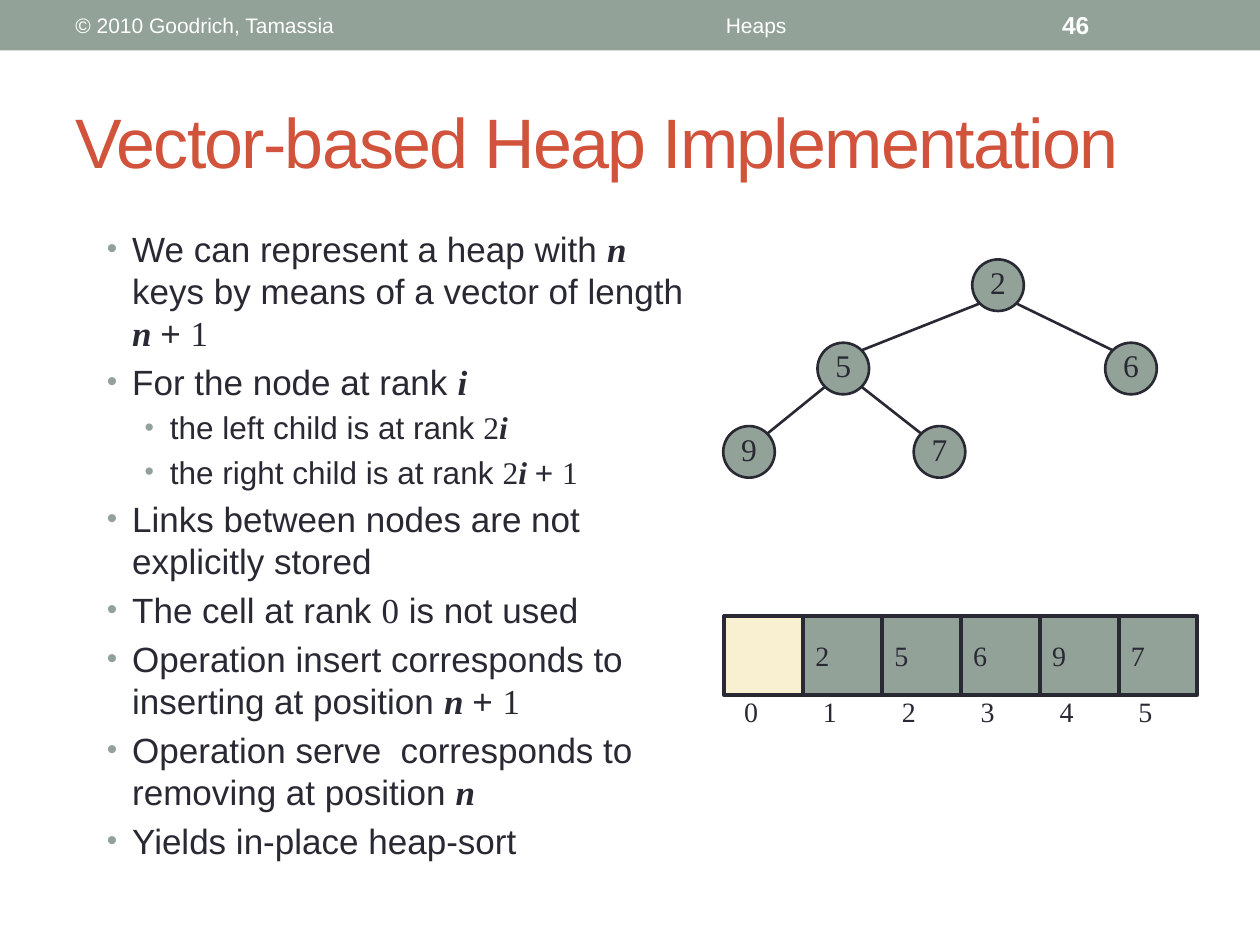
import math
from dataclasses import dataclass

import pptx
import pptx.dml.color
import pptx.enum.shapes
import pptx.enum.text
import pptx.oxml.ns
import pptx.util
from lxml import etree

Cm = pptx.util.Cm
Pt = pptx.util.Pt
Align = pptx.enum.text.PP_ALIGN
Anchor = pptx.enum.text.MSO_ANCHOR
Shape = pptx.enum.shapes.MSO_SHAPE
qn = pptx.oxml.ns.qn


@dataclass(frozen=True)
class Theme:
    sage: str = "93A299"
    ink: str = "292934"
    red: str = "D2533C"
    cream: str = "F8F0D0"
    white: str = "FFFFFF"
    sans: str = "Arial"
    serif: str = "Times New Roman"
    title_size: int = 40
    body_sizes: tuple = (20, 18)
    node_size: int = 18
    cell_size: int = 16
    header_size: int = 12
    number_size: int = 14


THEME = Theme()

# Kinds of span in the bullet list
WORDS, VARIABLE, NUMBER = "words", "variable", "number"
N_PLUS_1 = [("n ", VARIABLE), ("+ ", WORDS), ("1", NUMBER)]
BULLETS = [
    (0, [("We can represent a heap with ", WORDS), ("n", VARIABLE),
         (" keys by means of a vector of length ", WORDS), *N_PLUS_1]),
    (0, [("For the node at rank ", WORDS), ("i", VARIABLE)]),
    (1, [("the left child is at rank ", WORDS), ("2", NUMBER), ("i", VARIABLE)]),
    (1, [("the right child is at rank ", WORDS), ("2", NUMBER),
         ("i ", VARIABLE), ("+ ", WORDS), ("1", NUMBER)]),
    (0, [("Links between nodes are not explicitly stored", WORDS)]),
    (0, [("The cell at rank ", WORDS), ("0", NUMBER), (" is not used", WORDS)]),
    (0, [("Operation insert corresponds to inserting at position ", WORDS),
         *N_PLUS_1]),
    (0, [("Operation serve  corresponds to removing at position ", WORDS),
         ("n", VARIABLE)]),
    (0, [("Yields in-place heap-sort", WORDS)]),
]

# Heap keys by rank; rank 0 stays empty
HEAP = ["", "2", "5", "6", "9", "7"]
NODE_LEFTS = [None, 19.6, 16.48, 22.28, 14.58, 18.42]
NODE_TOP, LEVEL_STEP, NODE_SIZE = 5.23, 1.68, 1.04
CELL_LEFT, CELL_TOP, CELL_SIZE = 14.6, 12.42, 1.59


def rgb(code):
    return pptx.dml.color.RGBColor.from_string(code)


def add_span(para, text, size, color, font=THEME.sans, bold=False, italic=False):
    span = para.add_run()
    span.text = text
    span.font.size = Pt(size)
    span.font.name = font
    span.font.color.rgb = rgb(color)
    span.font.bold = bold
    span.font.italic = italic
    return span


def place(box, left, top, width, height):
    box.left, box.top, box.width, box.height = map(Cm, (left, top, width, height))


def set_margins(frame, left, top, right, bottom):
    frame.margin_left, frame.margin_top = Cm(left), Cm(top)
    frame.margin_right, frame.margin_bottom = Cm(right), Cm(bottom)


def add_label(shapes, text, area, size, color, align=Align.LEFT, **style):
    box = shapes.add_textbox(*map(Cm, area))
    frame = box.text_frame
    frame.word_wrap = True
    frame.vertical_anchor = Anchor.MIDDLE
    frame.paragraphs[0].alignment = align
    add_span(frame.paragraphs[0], text, size, color, **style)
    return box


def add_block(shapes, kind, area, fill, line_width=None):
    block = shapes.add_shape(kind, *map(Cm, area))
    block.shadow.inherit = False
    block.fill.solid()
    block.fill.fore_color.rgb = rgb(fill)
    if line_width:
        block.line.color.rgb = rgb(THEME.ink)
        block.line.width = Pt(line_width)
    else:
        block.line.fill.background()
    return block


def write_key(block, text, size, align):
    frame = block.text_frame
    frame.vertical_anchor = Anchor.MIDDLE
    frame.paragraphs[0].alignment = align
    add_span(frame.paragraphs[0], text, size, THEME.ink, THEME.serif)


def add_edge(shapes, start, end):
    edge = shapes.add_connector(
        pptx.enum.shapes.MSO_CONNECTOR.STRAIGHT, *map(Cm, (*start, *end)))
    edge.line.color.rgb = rgb(THEME.ink)
    edge.line.width = Pt(1.5)
    etree.SubElement(edge._element.spPr, qn("a:effectLst"))


def set_bullet(para, level):
    properties = para._p.get_or_add_pPr()
    properties.set("marL", str(Cm((0.51, 1.27)[level])))
    properties.set("indent", str(Cm(-0.51)))
    color = etree.SubElement(properties, qn("a:buClr"))
    etree.SubElement(color, qn("a:srgbClr"), val=THEME.sage)
    etree.SubElement(properties, qn("a:buSzPct"), val="85000")
    etree.SubElement(properties, qn("a:buFont"), typeface=THEME.sans)
    etree.SubElement(properties, qn("a:buChar"), char="•")


def add_header(shapes):
    add_block(shapes, Shape.RECTANGLE, (0, 0, 25.4, 1.02), THEME.sage)
    add_label(shapes, "© 2010 Goodrich, Tamassia", (1.27, 0.05, 8.05, 0.91),
              THEME.header_size, THEME.white)
    add_label(shapes, "Heaps", (9.53, 0.05, 11.43, 0.91),
              THEME.header_size, THEME.white, Align.CENTER)
    add_label(shapes, "46", (21.16, 0.05, 2.97, 0.91),
              THEME.number_size, THEME.white, bold=True)


def fill_title(title):
    place(title, 1.27, 1.47, 22.86, 2.74)
    frame = title.text_frame
    frame.auto_size = pptx.enum.text.MSO_AUTO_SIZE.NONE
    frame.vertical_anchor = Anchor.MIDDLE
    frame.paragraphs[0].alignment = Align.LEFT
    span = add_span(frame.paragraphs[0], "Vector-based Heap Implementation",
                    THEME.title_size, THEME.red)
    span._r.get_or_add_rPr().set("spc", "-100")


def fill_bullets(body):
    place(body, 1.9, 4.45, 12.27, 13.54)
    frame = body.text_frame
    frame.auto_size = pptx.enum.text.MSO_AUTO_SIZE.NONE
    frame.vertical_anchor = Anchor.TOP
    for index, (level, spans) in enumerate(BULLETS):
        para = frame.add_paragraph() if index else frame.paragraphs[0]
        size = THEME.body_sizes[level]
        para.level = level
        para.line_spacing = Pt(size * 1.2)
        para.space_before = Pt(size * 0.2)
        set_bullet(para, level)
        for text, kind in spans:
            font = THEME.sans if kind == WORDS else THEME.serif
            strong = kind == VARIABLE
            add_span(para, text, size, THEME.ink, font, strong, strong)


def add_tree(shapes):
    # A node's depth follows from its rank
    corners = {rank: (NODE_LEFTS[rank],
                      NODE_TOP + LEVEL_STEP * int(math.log2(rank)))
               for rank in range(1, len(HEAP))}
    near = NODE_SIZE / 2 * (1 - math.sqrt(0.5))
    far = NODE_SIZE - near
    # Edges join the diagonal points of parent and child
    for rank in range(2, len(HEAP)):
        parent_x, parent_y = corners[rank // 2]
        child_x, child_y = corners[rank]
        start, end = (far, near) if rank % 2 else (near, far)
        add_edge(shapes, (parent_x + start, parent_y + far),
                 (child_x + end, child_y + near))
    for rank, corner in corners.items():
        node = add_block(shapes, Shape.OVAL, (*corner, NODE_SIZE, NODE_SIZE),
                         THEME.sage, 1.5)
        set_margins(node.text_frame, 0, 0, 0, 0.13)
        node.text_frame.word_wrap = False
        write_key(node, HEAP[rank], THEME.node_size, Align.CENTER)


def add_vector(shapes):
    group = shapes.add_group_shape()
    for rank, key in enumerate(HEAP):
        left = CELL_LEFT + rank * CELL_SIZE
        cell = add_block(group.shapes, Shape.RECTANGLE,
                         (left, CELL_TOP, CELL_SIZE, CELL_SIZE),
                         THEME.sage if key else THEME.cream, 2.25)
        if key:
            write_key(cell, key, THEME.cell_size, Align.LEFT)
        label = add_label(group.shapes, str(rank),
                          (left + 0.4, CELL_TOP + CELL_SIZE, 0.76, 1.02),
                          THEME.cell_size, THEME.ink, font=THEME.serif)
        set_margins(label.text_frame, 0, 0, 0, 0)
        label.text_frame.vertical_anchor = Anchor.TOP


def main():
    deck = pptx.Presentation()
    deck.slide_width, deck.slide_height = Cm(25.4), Cm(19.05)
    page = deck.slides.add_slide(deck.slide_layouts[1])
    add_header(page.shapes)
    fill_title(page.shapes.title)
    fill_bullets(page.placeholders[1])
    add_tree(page.shapes)
    add_vector(page.shapes)
    deck.save("out.pptx")


if __name__ == "__main__":
    main()
